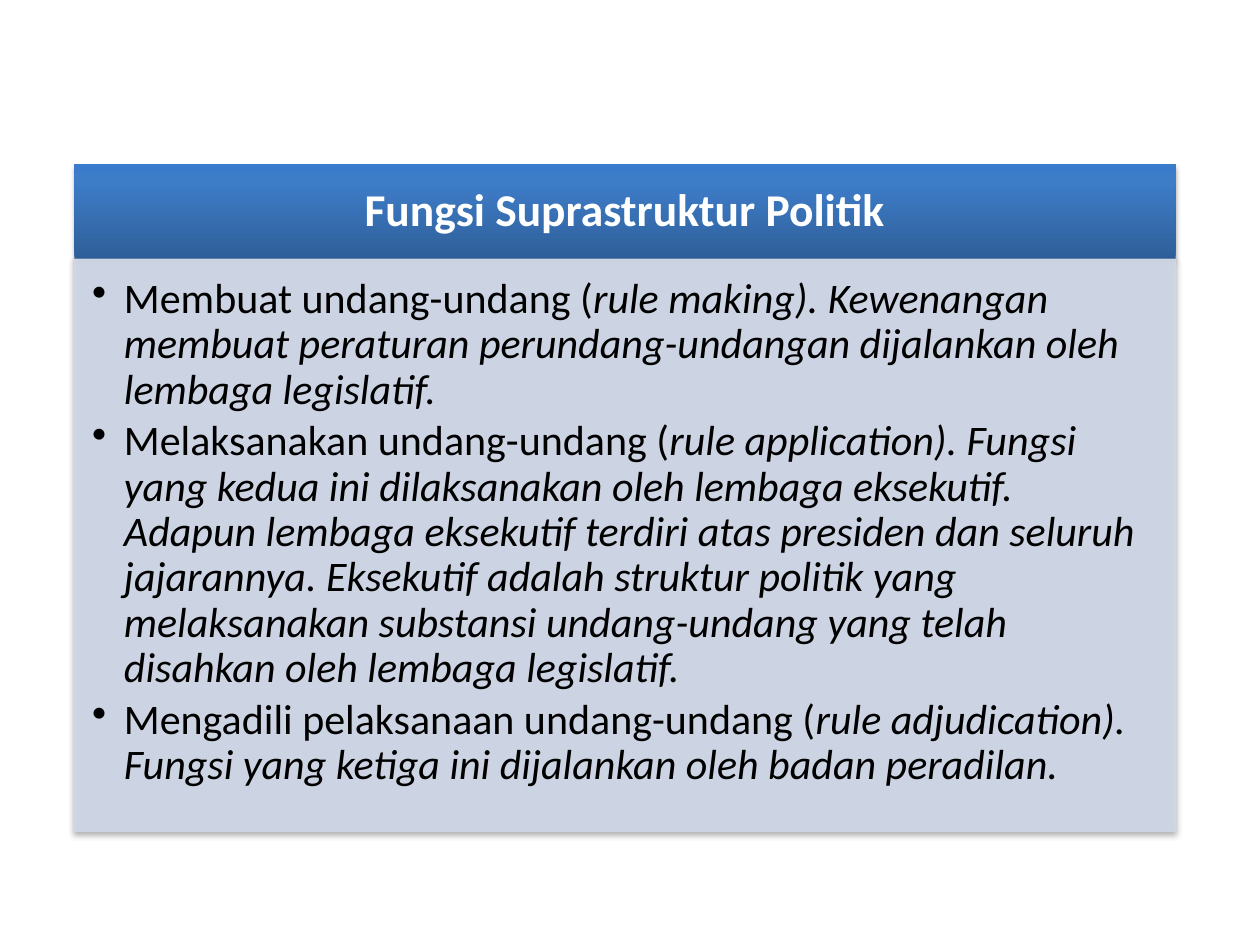
from copy import deepcopy
from dataclasses import dataclass

from lxml import etree
from pptx import Presentation
from pptx.dml.color import RGBColor
from pptx.enum.shapes import MSO_SHAPE
from pptx.enum.text import MSO_ANCHOR, PP_ALIGN
from pptx.oxml.ns import qn
from pptx.util import Cm, Pt

RECTANGLE = MSO_SHAPE.RECTANGLE
TOP, MIDDLE = MSO_ANCHOR.TOP, MSO_ANCHOR.MIDDLE
LEFT, CENTER = PP_ALIGN.LEFT, PP_ALIGN.CENTER

FONT = "Calibri"
COLORS = {
    "header_dark": "2F5F99",
    "header_mid": "3D7CC7",
    "header_light": "3A7CCB",
    "body": "D0D8E8",
    "title": "FFFFFF",
    "text": "000000",
    "shadow": "000000",
}
HEADER_STOPS = [(0, "header_dark"), (0.8, "header_mid"), (1, "header_light")]

PANEL_LEFT, PANEL_TOP, PANEL_WIDTH = 1.5, 3.3, 22.2
HEADER_HEIGHT, BODY_HEIGHT = 1.93, 11.53
BULLET_INDENT = 0.64


@dataclass
class Panel:
    top: float
    height: float
    margins: tuple[float, float, float, float]
    anchor: MSO_ANCHOR


@dataclass
class Duty:
    lead: str
    detail: str


TITLE = "Fungsi Suprastruktur Politik"
DUTIES = [
    Duty(
        "Membuat undang-undang (",
        "rule making). Kewenangan membuat peraturan perundang-undangan "
        "dijalankan oleh lembaga legislatif.",
    ),
    Duty(
        "Melaksanakan undang-undang (",
        "rule application). Fungsi yang kedua ini dilaksanakan oleh lembaga "
        "eksekutif. Adapun lembaga eksekutif terdiri atas presiden dan seluruh "
        "jajarannya. Eksekutif adalah struktur politik yang melaksanakan "
        "substansi undang-undang yang telah disahkan oleh lembaga legislatif.",
    ),
    Duty(
        "Mengadili pelaksanaan undang-undang (",
        "rule adjudication). Fungsi yang ketiga ini dijalankan oleh badan "
        "peradilan.",
    ),
]
HEADER = Panel(PANEL_TOP, HEADER_HEIGHT, (0.51, 0.3, 0.51, 0.3), MIDDLE)
BODY = Panel(PANEL_TOP + HEADER_HEIGHT, BODY_HEIGHT, (0.36, 0.36, 0.48, 0.53), TOP)


def color(name: str) -> RGBColor:
    return RGBColor.from_string(COLORS[name])


def add_panel(page, panel: Panel):
    box = page.shapes.add_shape(
        RECTANGLE, Cm(PANEL_LEFT), Cm(panel.top), Cm(PANEL_WIDTH), Cm(panel.height)
    )
    frame = box.text_frame
    frame.word_wrap = True
    frame.vertical_anchor = panel.anchor
    (
        frame.margin_left,
        frame.margin_top,
        frame.margin_right,
        frame.margin_bottom,
    ) = map(Cm, panel.margins)
    return box


def add_shadow(box) -> None:
    box.shadow.inherit = False
    effects = box._element.spPr.find(qn("a:effectLst"))
    shadow = etree.SubElement(
        effects,
        qn("a:outerShdw"),
        blurRad=str(Pt(3.1)),
        dist=str(Pt(1.8)),
        dir="5400000",
        rotWithShape="0",
    )
    tint = etree.SubElement(shadow, qn("a:srgbClr"), val=COLORS["shadow"])
    etree.SubElement(tint, qn("a:alpha"), val="35000")


def fill_header(box) -> None:
    box.fill.gradient()
    stop_list = box._element.spPr.find(f".//{qn('a:gsLst')}")
    stop_list.append(deepcopy(stop_list[0]))
    for stop, (position, name) in zip(box.fill.gradient_stops, HEADER_STOPS):
        stop.position = position
        stop.color.rgb = color(name)
    box.fill.gradient_angle = 90
    box.line.fill.background()


def fill_body(box) -> None:
    box.line.width = Pt(0.75)
    for fill in (box.fill, box.line.fill):
        fill.solid()
        fill.fore_color.rgb = color("body")
    for tint in box._element.spPr.iter(qn("a:srgbClr")):
        etree.SubElement(tint, qn("a:alpha"), val="90000")


def add_bullet(para) -> None:
    properties = para._p.get_or_add_pPr()
    properties.set("marL", str(Cm(BULLET_INDENT)))
    properties.set("indent", str(-Cm(BULLET_INDENT)))
    etree.SubElement(properties, qn("a:buChar"), char="•")


def format_paragraph(para, alignment: PP_ALIGN, space_after: float) -> None:
    para.alignment = alignment
    para.line_spacing = 0.9
    para.space_after = Pt(space_after)


def add_span(
    para, text: str, size: int, name: str, bold: bool = False, italic: bool = False
) -> None:
    span = para.add_run()
    span.text = text
    span.font.name = FONT
    span.font.size = Pt(size)
    span.font.bold = bold
    span.font.italic = italic
    span.font.color.rgb = color(name)


def add_header(page) -> None:
    box = add_panel(page, HEADER)
    fill_header(box)
    add_shadow(box)
    para = box.text_frame.paragraphs[0]
    format_paragraph(para, CENTER, 0)
    add_span(para, TITLE, 26, "title", bold=True)


def add_body(page) -> None:
    box = add_panel(page, BODY)
    fill_body(box)
    add_shadow(box)
    frame = box.text_frame
    for index, duty in enumerate(DUTIES):
        para = frame.add_paragraph() if index else frame.paragraphs[0]
        add_bullet(para)
        para.level = 1
        format_paragraph(para, LEFT, 3.6)
        add_span(para, duty.lead, 24, "text")
        add_span(para, duty.detail, 24, "text", italic=True)


def main() -> None:
    deck = Presentation()
    deck.slide_width, deck.slide_height = Cm(25.4), Cm(19.05)
    page = deck.slides.add_slide(deck.slide_layouts[6])
    add_header(page)
    add_body(page)
    deck.save("out.pptx")


if __name__ == "__main__":
    main()
